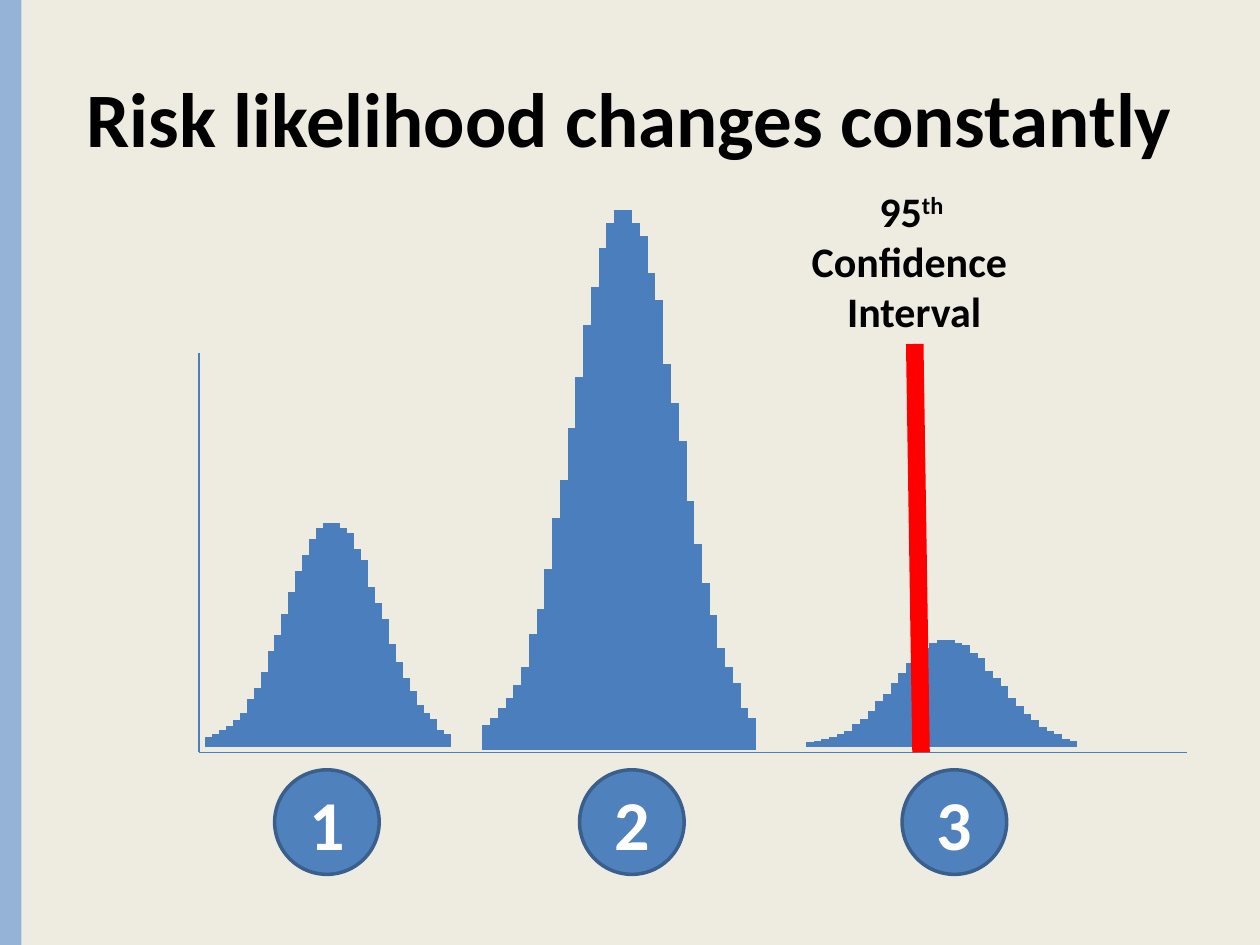
from lxml import etree
from pptx import Presentation
from pptx.dml.color import RGBColor
from pptx.enum.shapes import MSO_CONNECTOR, MSO_SHAPE
from pptx.enum.text import MSO_ANCHOR, MSO_AUTO_SIZE, PP_ALIGN
from pptx.oxml.ns import qn
from pptx.util import Inches, Pt


def rgb(color):
    return RGBColor.from_string(color)


def add_line(shapes, start, end, color, width):
    line = shapes.add_connector(MSO_CONNECTOR.STRAIGHT, *map(Inches, start + end))
    line.line.color.rgb = rgb(color)
    line.line.width = Pt(width)
    etree.SubElement(line._element.spPr, qn("a:effectLst"))


prs = Presentation()
prs.slide_width, prs.slide_height = Inches(10), Inches(7.5)
slide = prs.slides.add_slide(prs.slide_layouts[6])
slide.background.fill.solid()
slide.background.fill.fore_color.rgb = rgb("EEECE1")

side_band = slide.shapes.add_shape(MSO_SHAPE.RECTANGLE, 0, 0, Inches(0.17), Inches(7.5))
side_band.shadow.inherit = False
side_band.fill.solid()
side_band.fill.fore_color.rgb = rgb("95B3D7")
side_band.line.fill.background()

# Axes
BLUE = "4B7EBC"
add_line(slide.shapes, (1.58, 2.8), (1.58, 5.97), BLUE, 0.75)
add_line(slide.shapes, (9.42, 5.97), (1.58, 5.97), BLUE, 0.75)

# The three distributions share one profile, scaled to each peak
profile = [
    0.20, 0.25, 0.33, 0.41, 0.51, 0.66, 0.92, 1.12, 1.43, 1.84, 2.14, 2.55,
    2.96, 3.37, 3.67, 3.98, 4.18, 4.28, 4.28, 4.18, 4.08, 3.78, 3.57, 3.06,
    2.75, 2.45, 1.97, 1.63, 1.32, 1.07, 0.81, 0.66, 0.53, 0.33, 0.25,
]
distributions = [  # first bar, last bar, base, peak height
    (1.67, 3.54, 5.93, 1.78),
    (6.44, 8.51, 5.93, 0.85),
    (3.87, 5.96, 5.95, 4.28),
]
for first, last, base, peak in distributions:
    bars = slide.shapes.add_group_shape().shapes
    step = (last - first) / (len(profile) - 1)
    for i, height in enumerate(profile):
        x = first + i * step
        top = base - height * peak / max(profile)
        add_line(bars, (x, base), (x, top), BLUE, 6)

title = slide.shapes.add_textbox(Inches(0.5), Inches(0.3), Inches(9), Inches(1.25))
title_frame = title.text_frame
title_frame.word_wrap = True
title_frame.vertical_anchor = MSO_ANCHOR.MIDDLE
heading = title_frame.paragraphs[0]
heading.text = "Risk likelihood changes constantly"
heading.alignment = PP_ALIGN.CENTER
heading.font.name, heading.font.size, heading.font.bold = "Calibri", Pt(44), True
heading.font.color.rgb = rgb("000000")

for number, left in enumerate((2.18, 4.6, 7.16), start=1):
    badge = slide.shapes.add_shape(
        MSO_SHAPE.OVAL, Inches(left), Inches(6.11), Inches(0.83), Inches(0.83))
    badge.shadow.inherit = False
    badge.fill.solid()
    badge.fill.fore_color.rgb = rgb("4F81BD")
    badge.line.color.rgb = rgb("3A5F8C")
    badge.line.width = Pt(2)
    badge.text_frame.vertical_anchor = MSO_ANCHOR.MIDDLE
    digit = badge.text_frame.paragraphs[0]
    digit.text = str(number)
    digit.alignment = PP_ALIGN.CENTER
    digit.font.name, digit.font.size, digit.font.bold = "Calibri", Pt(40), True
    digit.font.color.rgb = rgb("FFFFFF")

# Confidence marker with its caption
marker = slide.shapes.add_group_shape().shapes
add_line(marker, (7.26, 2.73), (7.31, 5.97), "FF0000", 10)
caption = marker.add_textbox(Inches(6.33), Inches(1.42), Inches(1.85), Inches(1.31))
caption.text_frame.word_wrap = False
caption.text_frame.auto_size = MSO_AUTO_SIZE.SHAPE_TO_FIT_TEXT
interval = caption.text_frame.paragraphs[0]
interval.alignment = PP_ALIGN.CENTER
interval.font.name, interval.font.size, interval.font.bold = "Calibri", Pt(24), True
interval.font.color.rgb = rgb("000000")
interval.add_run().text = "95"
ordinal = interval.add_run()
ordinal.text = "th "
ordinal.font._element.set("baseline", "30000")
interval.add_line_break()
interval.add_run().text = "Confidence "
interval.add_line_break()
interval.add_run().text = "Interval"

prs.save("out.pptx")
